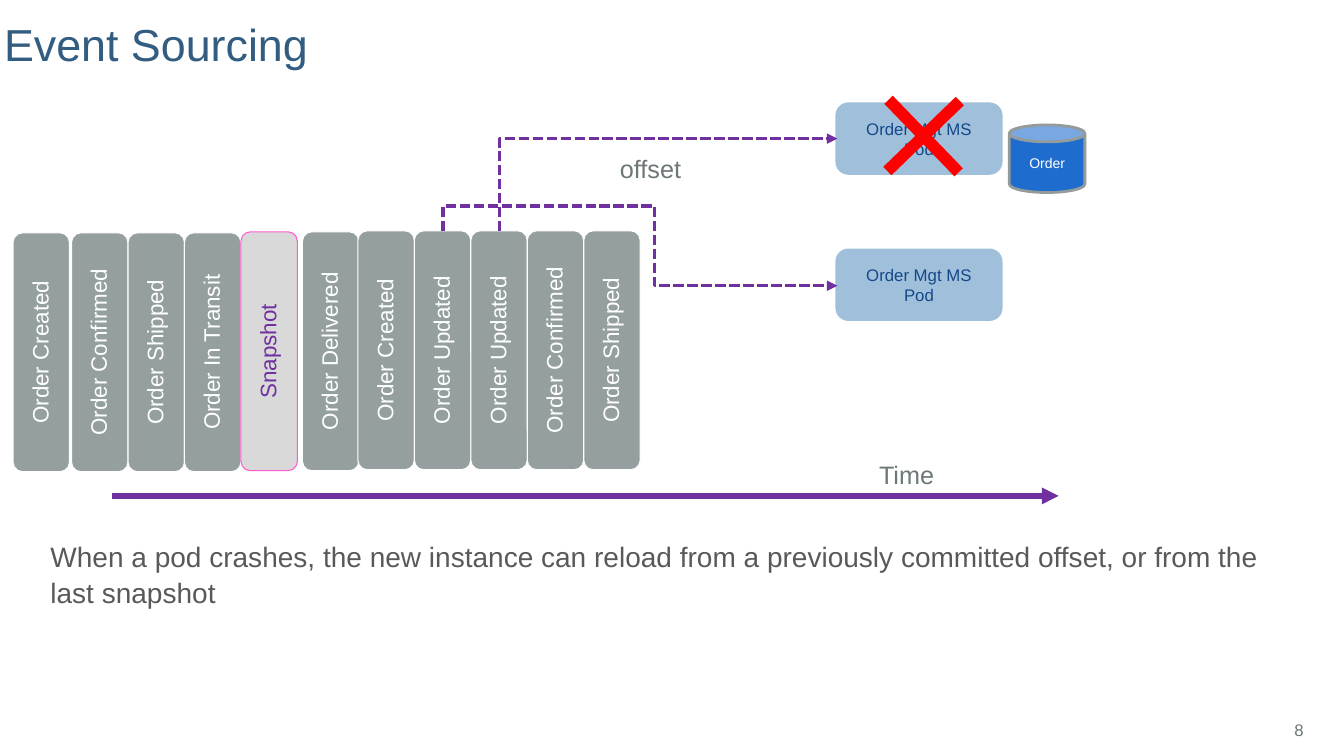
from pptx import Presentation
from pptx.dml.color import RGBColor
from pptx.enum.dml import MSO_LINE
from pptx.enum.shapes import MSO_CONNECTOR as Link, MSO_SHAPE as Shape
from pptx.enum.text import MSO_ANCHOR as Anchor, MSO_AUTO_SIZE as AutoSize, PP_ALIGN as Align
from pptx.oxml.ns import qn
from pptx.util import Inches, Pt
from lxml import etree

WHITE = RGBColor(0xFF, 0xFF, 0xFF)
TITLE_BLUE = RGBColor(0x32, 0x5C, 0x80)
BODY_GRAY = RGBColor(0x59, 0x59, 0x59)
LABEL_GRAY = RGBColor(0x6D, 0x77, 0x77)
EVENT_GRAY = RGBColor(0x95, 0x9F, 0x9F)
SNAPSHOT_GRAY = RGBColor(0xD9, 0xD9, 0xD9)
PINK = RGBColor(0xFF, 0x5B, 0xD0)
PURPLE = RGBColor(0x70, 0x30, 0xA0)
POD_BLUE = RGBColor(0xA0, 0xBF, 0xDA)
POD_TEXT = RGBColor(0x14, 0x49, 0x89)
STORE_BLUE = RGBColor(0x1E, 0x6D, 0xCE)
STORE_EDGE = RGBColor(0x94, 0x9B, 0x9B)
RED = RGBColor(0xFF, 0x00, 0x00)

EVENT_WIDTH, EVENT_HEIGHT = 0.56, 2.37
# left and top of each run of adjoining events
EVENT_RUNS = [
    (0.13, 2.31, ["Order Created"]),
    (0.71, 2.31, ["Order Confirmed", "Order Shipped", "Order In Transit"]),
    (3.0, 2.3, ["Order Delivered"]),
    (3.55, 2.29, ["Order Created", "Order Updated", "Order Updated",
                  "Order Confirmed", "Order Shipped"]),
]


def apply(target, values):
    for name, value in values.items():
        setattr(target, name, value)


def write(box, lines, size, color, align=Align.LEFT, spacing=None, **frame_format):
    frame = box.text_frame
    apply(frame, {"word_wrap": True, "auto_size": AutoSize.NONE, **frame_format})
    for index, line in enumerate(lines):
        para = frame.paragraphs[0] if index == 0 else frame.add_paragraph()
        apply(para, {"text": line, "alignment": align, "line_spacing": spacing})
        apply(para.font, {"name": "Arial", "size": Pt(size)})
        para.font.color.rgb = color


def place(box, left, top, width, height):
    apply(box, {"left": Inches(left), "top": Inches(top),
                "width": Inches(width), "height": Inches(height)})


def add_label(page, text, area, size, **text_format):
    box = page.shapes.add_textbox(*map(Inches, area))
    write(box, [text], size, LABEL_GRAY, **text_format)


def add_figure(page, kind, area, fill, edge=None, edge_width=0.75):
    figure = page.shapes.add_shape(kind, *map(Inches, area))
    figure.shadow.inherit = False
    figure.fill.solid()
    figure.fill.fore_color.rgb = fill
    if edge is None:
        figure.line.fill.background()
    else:
        figure.line.color.rgb = edge
        figure.line.width = Pt(edge_width)
    return figure


def add_event(page, name, left, top, fill=EVENT_GRAY, edge=WHITE, color=WHITE):
    event = add_figure(page, Shape.ROUNDED_RECTANGLE,
                       (left, top, EVENT_WIDTH, EVENT_HEIGHT), fill, edge)
    write(event, [name], 16, color, Align.CENTER, 0.9, vertical_anchor=Anchor.MIDDLE,
          margin_left=0, margin_right=0, margin_top=0, margin_bottom=0)
    event.text_frame._txBody.bodyPr.set("vert", "vert270")


def add_pod(page, top, lines):
    pod = add_figure(page, Shape.ROUNDED_RECTANGLE, (8.3, top, 1.63, 0.69),
                     POD_BLUE, POD_BLUE, 2)
    write(pod, lines, 12, POD_TEXT, Align.CENTER, vertical_anchor=Anchor.MIDDLE)


def add_arrow(page, kind, begin, end, width, dash=None):
    arrow = page.shapes.add_connector(kind, *map(Inches, begin + end))
    arrow.line.color.rgb = PURPLE
    arrow.line.width = Pt(width)
    if dash is not None:
        arrow.line.dash_style = dash
    properties = arrow._element.spPr
    etree.SubElement(properties.find(qn("a:ln")), qn("a:tailEnd"), type="triangle")
    etree.SubElement(properties, qn("a:effectLst"))
    return arrow


def add_offset_arrow(page, begin, end, turn, preset, adjustments=()):
    """Dashed elbow; begin and end are its corners before the turn in degrees."""
    arrow = add_arrow(page, Link.ELBOW, begin, end, 2.5, MSO_LINE.SQUARE_DOT)
    properties = arrow._element.spPr
    properties.find(qn("a:xfrm")).set("rot", str(turn * 60000))
    geometry = properties.find(qn("a:prstGeom"))
    geometry.set("prst", preset)
    guides = geometry.find(qn("a:avLst"))
    for number, value in enumerate(adjustments, 1):
        etree.SubElement(guides, qn("a:gd"), name=f"adj{number}", fmla=f"val {value}")


def fill_placeholders(page):
    title, body = page.placeholders[0], page.placeholders[1]
    place(title, 0.04, 0.12, 11.91, 0.58)
    write(title, ["Event Sourcing"], 32, TITLE_BLUE, spacing=0.85,
          vertical_anchor=Anchor.BOTTOM, margin_left=0, margin_bottom=0)
    place(body, 0.5, 5.29, 12.24, 1.24)
    para = body.text_frame.paragraphs[0]
    properties = para._p.get_or_add_pPr()
    properties.set("marL", "0")
    properties.set("indent", "0")
    etree.SubElement(properties, qn("a:buNone"))
    write(body, ["When a pod crashes, the new instance can reload from a previously "
                 "committed offset, or from the last snapshot"],
          20, BODY_GRAY, spacing=1.05, vertical_anchor=Anchor.TOP, margin_left=0)
    para.space_before = Pt(0)


def main():
    deck = Presentation()
    apply(deck, {"slide_width": Inches(13.33), "slide_height": Inches(7.5)})
    page = deck.slides.add_slide(deck.slide_layouts[1])
    fill_placeholders(page)
    add_label(page, "8", (12.45, 7.04, 0.58, 0.4), 12, align=Align.RIGHT,
              vertical_anchor=Anchor.MIDDLE)

    for left, top, names in EVENT_RUNS:
        for index, name in enumerate(names):
            add_event(page, name, left + index * EVENT_WIDTH, top)
    add_event(page, "Snapshot", 2.39, 2.3, SNAPSHOT_GRAY, PINK, PURPLE)
    add_arrow(page, Link.STRAIGHT, (1.11, 4.92), (10.5, 4.92), 4)
    add_label(page, "Time", (8.62, 4.51, 0.75, 0.4), 18, word_wrap=False)
    add_label(page, "offset", (6.05, 1.47, 0.81, 0.4), 18, word_wrap=False)

    add_pod(page, 1.03, ["Order Mgt MS Pod"])
    add_pod(page, 2.48, ["Order Mgt MS", "Pod"])
    store = add_figure(page, Shape.CAN, (10.01, 1.24, 0.75, 0.67),
                       STORE_BLUE, STORE_EDGE, 2)
    write(store, ["Order"], 10, WHITE, Align.CENTER, vertical_anchor=Anchor.MIDDLE)
    add_offset_arrow(page, (7.09, 3.51), (6.17, 0.16), 90, "bentConnector2")
    add_offset_arrow(page, (6.62, 0.61), (6.08, 4.52), 270, "bentConnector4",
                     (-46600, 53600))
    crash = add_figure(page, Shape.CROSS, (8.66, 0.85, 1, 1), RED)
    crash.rotation = 46
    crash.adjustments[0] = 0.442

    deck.save("out.pptx")


if __name__ == "__main__":
    main()
